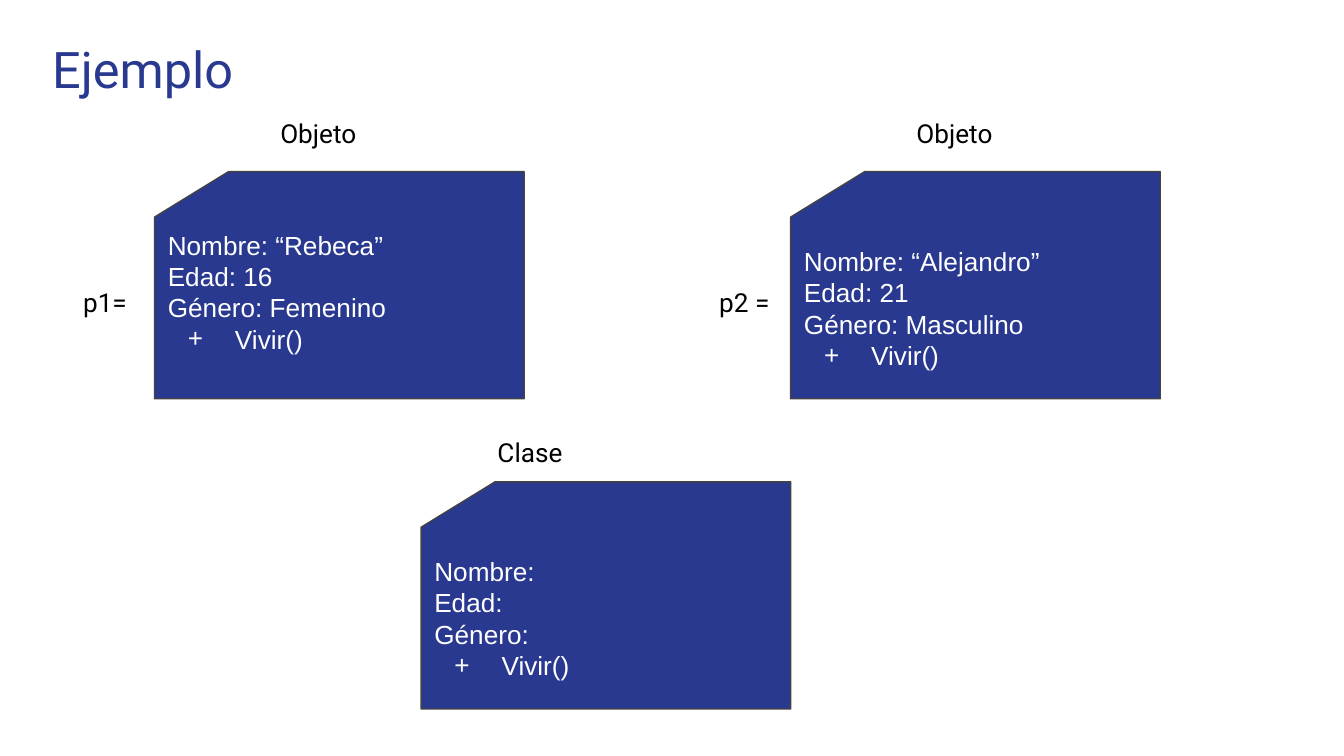
from lxml.etree import SubElement
from pptx import Presentation
from pptx.dml.color import RGBColor
from pptx.enum.shapes import MSO_SHAPE as Shape
from pptx.enum.text import MSO_ANCHOR as Anchor, PP_ALIGN as Align
from pptx.oxml.ns import qn
from pptx.util import Inches, Pt

BLUE = RGBColor(0x2A, 0x39, 0x90)
GRAY = RGBColor(0x43, 0x43, 0x43)
WHITE = RGBColor(0xFF, 0xFF, 0xFF)
BLACK = RGBColor(0x00, 0x00, 0x00)

# Lengths below are cells of a square grid, 100 columns across the slide.
COLUMNS = 100
CARD_WIDTH, CARD_HEIGHT = 27.5, 16.9
LABEL_HEIGHT = 4.4
HEADING_WIDTH, NAME_WIDTH = 18.1, 6.3
OBJECT_TOP = 12.77
CLASS_LEFT, CLASS_TOP = 31.33, 35.85


class SlideBuilder:
    heading_font = "Roboto"
    body_font = "Arial"
    body_size = 14
    title_size = 27
    margin = Inches(0.1)

    def __init__(self, presentation):
        self.slide = presentation.slides.add_slide(presentation.slide_layouts[6])
        self.cell = presentation.slide_width / COLUMNS

    def place(self, *cells):
        return [round(value * self.cell) for value in cells]

    def set_frame(self, frame, anchor):
        frame.word_wrap = True
        frame.vertical_anchor = anchor
        frame.margin_left = frame.margin_right = self.margin
        frame.margin_top = frame.margin_bottom = self.margin

    def add_run(self, paragraph, text, font, size, color):
        paragraph.alignment = Align.LEFT
        run = paragraph.add_run()
        run.text = text
        run.font.name = font
        run.font.size = Pt(size)
        run.font.color.rgb = color

    def add_bullet(self, paragraph, character):
        properties = paragraph._p.get_or_add_pPr()
        properties.set("marL", str(Inches(0.5)))
        properties.set("indent", str(-Inches(0.35)))
        color = SubElement(properties, qn("a:buClr"))
        SubElement(color, qn("a:srgbClr"), val=str(WHITE))
        SubElement(properties, qn("a:buFont"), typeface=self.body_font)
        SubElement(properties, qn("a:buChar"), char=character)

    def label(self, text, left, top, width, height=LABEL_HEIGHT,
              size=body_size, color=BLACK):
        box = self.slide.shapes.add_textbox(*self.place(left, top, width, height))
        self.set_frame(box.text_frame, Anchor.TOP)
        self.add_run(box.text_frame.paragraphs[0], text,
                     self.heading_font, size, color)

    def card(self, left, top, attributes, method, lift=0):
        """Draw a punched card; lift raises its text by widening the lower margin."""
        shape = self.slide.shapes.add_shape(
            Shape.FLOWCHART_CARD, *self.place(left, top, CARD_WIDTH, CARD_HEIGHT))
        shape.shadow.inherit = False
        shape.fill.solid()
        shape.fill.fore_color.rgb = BLUE
        shape.line.color.rgb = GRAY
        shape.line.width = Pt(0.75)

        frame = shape.text_frame
        self.set_frame(frame, Anchor.MIDDLE)
        frame.margin_bottom = self.margin + Inches(lift)
        for index, text in enumerate([*attributes, method]):
            paragraph = frame.add_paragraph() if index else frame.paragraphs[0]
            self.add_run(paragraph, text, self.body_font, self.body_size, WHITE)
        self.add_bullet(paragraph, "+")

    def object_card(self, name, left, attributes, lift=0):
        """Draw an object's card with its heading above and variable name beside."""
        self.card(left, OBJECT_TOP, attributes, "Vivir()", lift)
        self.label(name, left - NAME_WIDTH, OBJECT_TOP + 7.53, NAME_WIDTH)
        self.label("Objeto", left + 8.37, OBJECT_TOP - 5.03, HEADING_WIDTH)


def main():
    presentation = Presentation()
    presentation.slide_width = Inches(10)
    presentation.slide_height = presentation.slide_width * 9 // 16
    builder = SlideBuilder(presentation)

    builder.label("Ejemplo", 2.9, 1.85, 93.2, 6.6, builder.title_size, BLUE)
    builder.object_card(
        "p1=", 11.5, ["Nombre: “Rebeca”", "Edad: 16", "Género: Femenino"], lift=0.24)
    builder.object_card(
        "p2 =", CLASS_LEFT + CARD_WIDTH,
        ["Nombre: “Alejandro”", "Edad: 21", "Género: Masculino"])
    builder.card(CLASS_LEFT, CLASS_TOP, ["Nombre:", "Edad:", "Género:"], "Vivir()")
    builder.label("Clase", CLASS_LEFT + 4.7, CLASS_TOP - LABEL_HEIGHT, HEADING_WIDTH)

    presentation.save("out.pptx")


if __name__ == "__main__":
    main()
